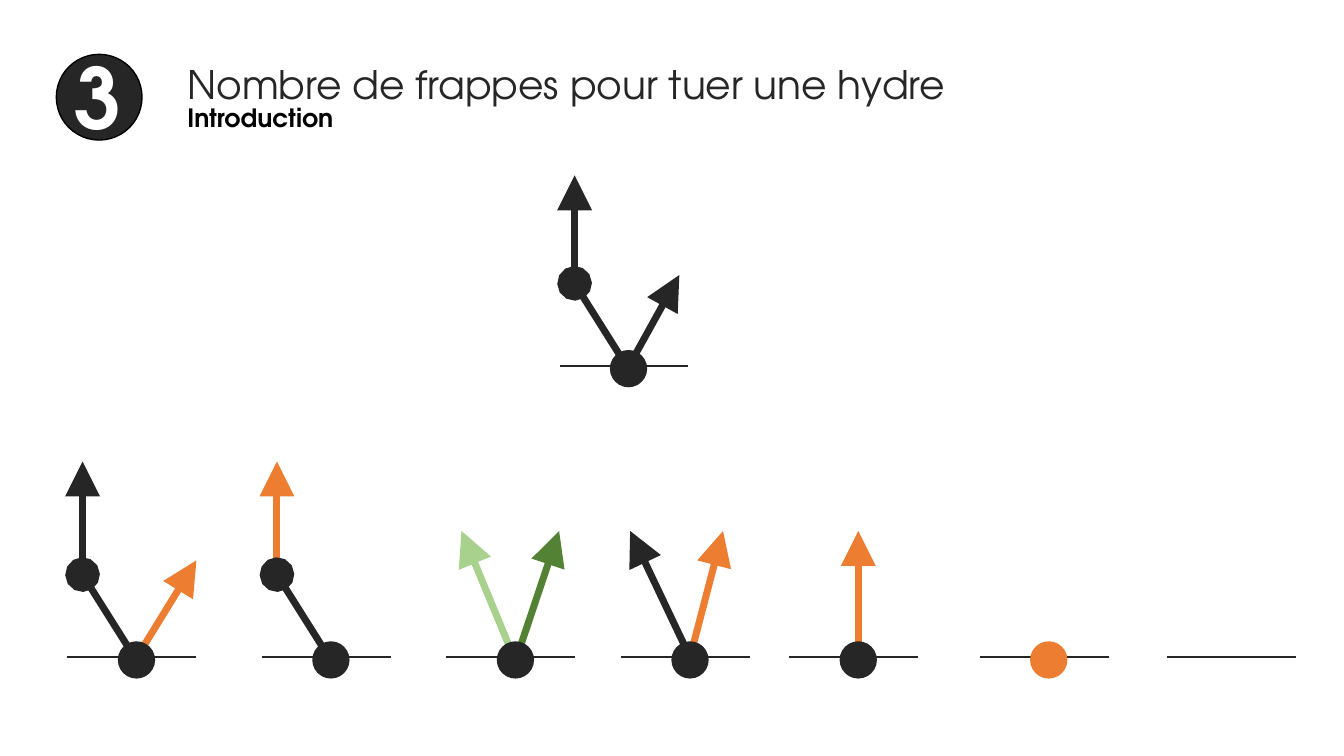
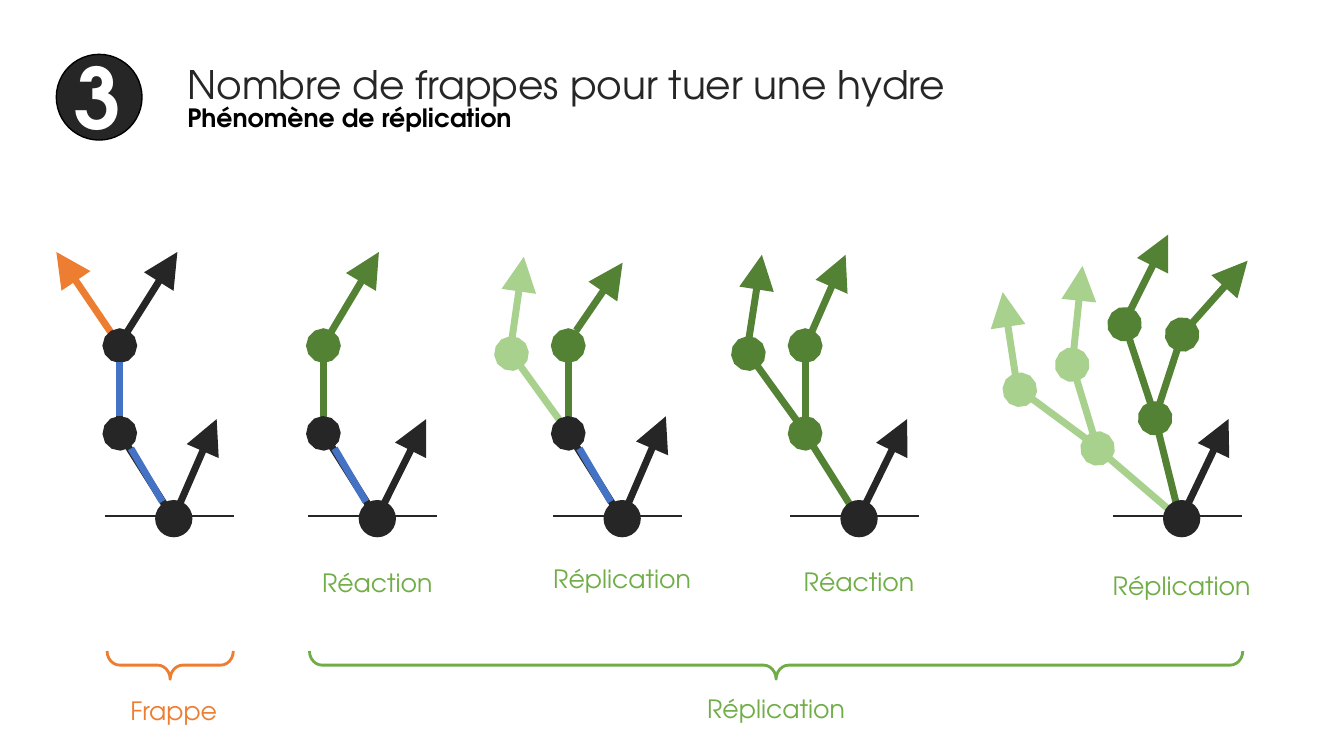
import pptx
import pptx.dml.color
import pptx.enum.shapes
import pptx.enum.text
import pptx.oxml.ns
import pptx.util
import lxml.etree

Cm, Pt = pptx.util.Cm, pptx.util.Pt
SHAPE = pptx.enum.shapes.MSO_SHAPE
ALIGN = pptx.enum.text.PP_ALIGN
COLOURS = {
    "dark": "262626", "black": "000000", "white": "FFFFFF",
    "orange": "ED7D31", "blue": "4472C4", "light": "A9D18E",
    "green": "548235", "label": "70AD47",
}


def rgb(name):
    return pptx.dml.color.RGBColor.from_string(COLOURS[name])


class Deck:
    """Style of the deck and the slide being drawn; all lengths in cm."""
    font = "TeX Gyre Adventor"
    title = "Nombre de frappes pour tuer une hydre"
    root_size = 0.94

    def __init__(self):
        self.prs = pptx.Presentation()
        self.prs.slide_width, self.prs.slide_height = Cm(33.87), Cm(19.05)
        self.s = None

    def slide(self, subtitle):
        self.s = self.prs.slides.add_slide(self.prs.slide_layouts[6])
        self.circle(2.5, 2.45, 2.16, "dark", "black")
        self.text("3", 1.63, 1.02, 1.52, 2.82, 60, "white", bold=True)
        self.text(subtitle, 4.47, 2.46, 26.52, 1.02, 18, "black", bold=True)
        self.text(self.title, 4.47, 1.4, 27.13, 1.45, 28, "dark")

    def text(self, words, x, y, w, h, size, colour, bold=False, align=ALIGN.LEFT):
        tf = self.s.shapes.add_textbox(Cm(x), Cm(y), Cm(w), Cm(h)).text_frame
        tf.word_wrap = True
        p = tf.paragraphs[0]
        p.alignment = align
        r = p.add_run()
        r.text = words
        r.font.name, r.font.size, r.font.bold = self.font, Pt(size), bold
        r.font.color.rgb = rgb(colour)

    def label(self, words, cx, y, colour="label"):
        self.text(words, cx - 2.5, y, 5, 1.02, 18, colour, align=ALIGN.CENTER)

    def circle(self, cx, cy, size, fill, line=None):
        sp = self.s.shapes.add_shape(SHAPE.OVAL, Cm(cx - size / 2), Cm(cy - size / 2),
                                     Cm(size), Cm(size))
        sp.shadow.inherit = False
        sp.fill.solid()
        sp.fill.fore_color.rgb = rgb(fill)
        if line:
            sp.line.color.rgb = rgb(line)
            sp.line.width = Pt(1)
        else:
            sp.line.fill.background()

    def line(self, x1, y1, x2, y2, colour, width, end=None):
        c = self.s.shapes.add_connector(pptx.enum.shapes.MSO_CONNECTOR.STRAIGHT,
                                        Cm(x1), Cm(y1), Cm(x2), Cm(y2))
        c.line.color.rgb = rgb(colour)
        c.line.width = Pt(width)
        qn = pptx.oxml.ns.qn
        if end:
            ln = c.line.fill._xPr
            lxml.etree.SubElement(ln, qn("a:tailEnd"), type=end, w="lg", len="lg")
        lxml.etree.SubElement(c._element.spPr, qn("a:effectLst"))

    def brace(self, cx, cy, width, colour):
        depth = 0.71
        sp = self.s.shapes.add_shape(SHAPE.LEFT_BRACE, Cm(cx - depth / 2),
                                     Cm(cy - width / 2), Cm(depth), Cm(width))
        sp.rotation = 270
        sp.adjustments[0], sp.adjustments[1] = 0.446, 0.5
        sp.shadow.inherit = False
        sp.fill.background()
        sp.line.color.rgb = rgb(colour)
        sp.line.width = Pt(2)

    def hydra(self, x, ground, parts, root="dark"):
        """Parts are measured from the root, upwards from the ground."""
        for (x1, y1, x2, y2), colour, end in parts:
            self.line(x + x1, ground - y1, x + x2, ground - y2, colour, 5, end)
        self.line(x - 1.74, ground, x + 1.51, ground, "dark", 1.5)
        if root:
            self.circle(x, ground + 0.07, self.root_size, root)


# Parts of a hydra
def head(x1, y1, x2, y2, colour="dark"):
    return (x1, y1, x2, y2), colour, "triangle"


def node(x1, y1, x2, y2, colour="dark"):
    return (x1, y1, x2, y2), colour, "oval"


def bar(x1, y1, x2, y2):
    return (x1, y1, x2, y2), "blue", None


def neck(colour="dark"):
    return node(0, -0.08, -1.36, 2.08, colour)


def upper_neck(colour="dark"):
    return node(-1.36, 2.44, -1.36, 4.29, colour)


def top_head(tip, colour="dark"):
    return head(-1.36, 2.44, -1.36, tip, colour)


def side_head(x, y=2.44, colour="dark"):
    return head(0.04, 0.05, x, y, colour)


def twin(x, y, colour):
    """Replicated branch to the left of the upper neck."""
    return [node(-1.36, 2.11, -2.79, 4.09, colour), head(-2.79, 4.38, x, y, colour)]


LOWER_BAR = bar(-1.08, 1.7, -0.29, 0.36)


def introduction(d):
    d.slide("Introduction")
    # Starting hydra
    d.hydra(15.84, 9.22, [neck(), side_head(1.28, 2.29), top_head(4.8)])
    # Strikes, one after the other
    tip = 3.18
    steps = [
        (3.44, [neck(), side_head(1.51, colour="orange"), top_head(4.93)], "dark"),
        (8.34, [top_head(4.93, "orange"), neck()], "dark"),
        (12.99, [head(0, -0.1, -1.36, tip, "light"),
                 head(0, -0.1, 1.1, tip, "green")], "dark"),
        (17.39, [head(0, 0, -1.51, tip), head(0, 0, 0.83, tip, "orange")], "dark"),
        (21.63, [head(0, -0.1, 0, tip, "orange")], "dark"),
        (26.43, [], "orange"),
        (31.15, [], None),
    ]
    for x, parts, root in steps:
        d.hydra(x, 16.56, parts, root)


def replication(d):
    d.slide("Phénomène de réplication")
    # Root position, label, label top, parts from back to front
    steps = [
        (4.38, "Frappe", 17.4, [
            head(-1.38, 4.32, -2.96, 6.65, "orange"), neck(), side_head(1.08),
            upper_neck(), head(-1.33, 4.39, 0.09, 6.65),
            bar(-1.36, 3.89, -1.36, 2.51), LOWER_BAR]),
        (9.51, "Réaction", 14.17, [
            upper_neck("green"), head(-1.31, 4.39, 0.04, 6.65, "green"),
            neck(), side_head(1.23), LOWER_BAR]),
        (15.68, "Réplication", 14.07, [
            *twin(-2.48, 6.53, "light"), upper_neck("green"),
            head(-1.16, 4.67, 0.01, 6.38, "green"),
            neck(), side_head(1.1, 2.51), LOWER_BAR]),
        (21.65, "Réaction", 14.15, [
            *twin(-2.45, 6.58, "green"), upper_neck("green"),
            head(-1.23, 4.55, -0.34, 6.58, "green"),
            neck("green"), side_head(1.21)]),
        (29.78, "Réplication", 14.25, [
            node(-0.67, 2.49, -1.44, 4.83, "green"),
            head(-1.33, 5.11, -0.34, 7.09, "green"),
            node(-0.57, 2.79, 0.01, 4.57, "green"),
            head(0.19, 4.78, 1.66, 6.43, "green"),
            node(-0.06, 0, -0.67, 2.46, "green"),
            node(-2.12, 1.73, -4.08, 3.18, "light"),
            head(-4.18, 3.48, -4.51, 5.64, "light"),
            node(-2.22, 2.03, -2.76, 3.81, "light"),
            head(-2.73, 4.09, -2.5, 6.3, "light"),
            node(-0.17, 0.03, -2.12, 1.7, "light"), side_head(1.18)]),
    ]
    for x, words, y, parts in steps:
        d.hydra(x, 13, parts)
        d.label(words, x, y, "orange" if words == "Frappe" else "label")
    # Braces over the two phases
    d.brace(4.29, 16.76, 3.18, "orange")
    d.brace(19.56, 16.76, 23.52, "label")
    d.label("Réplication", 19.56, 17.35)


def main():
    d = Deck()
    introduction(d)
    replication(d)
    d.prs.save("out.pptx")


if __name__ == "__main__":
    main()
